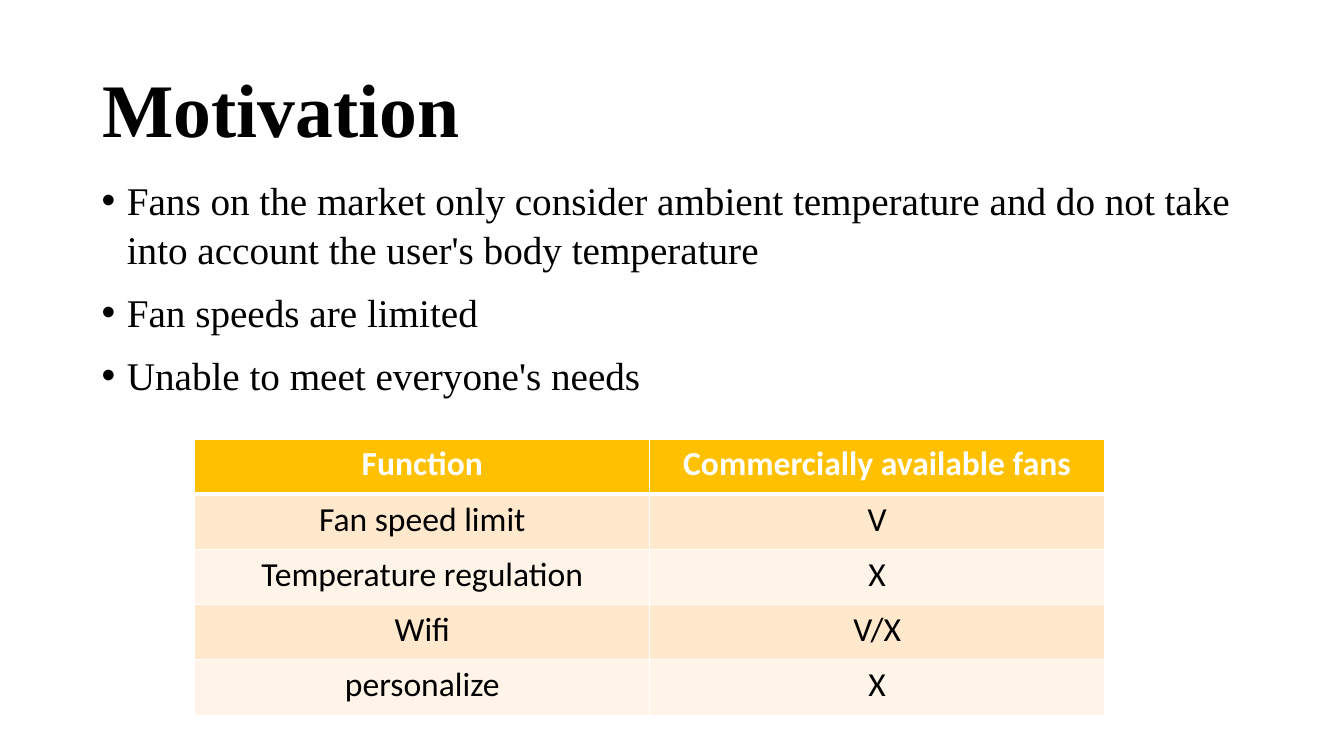
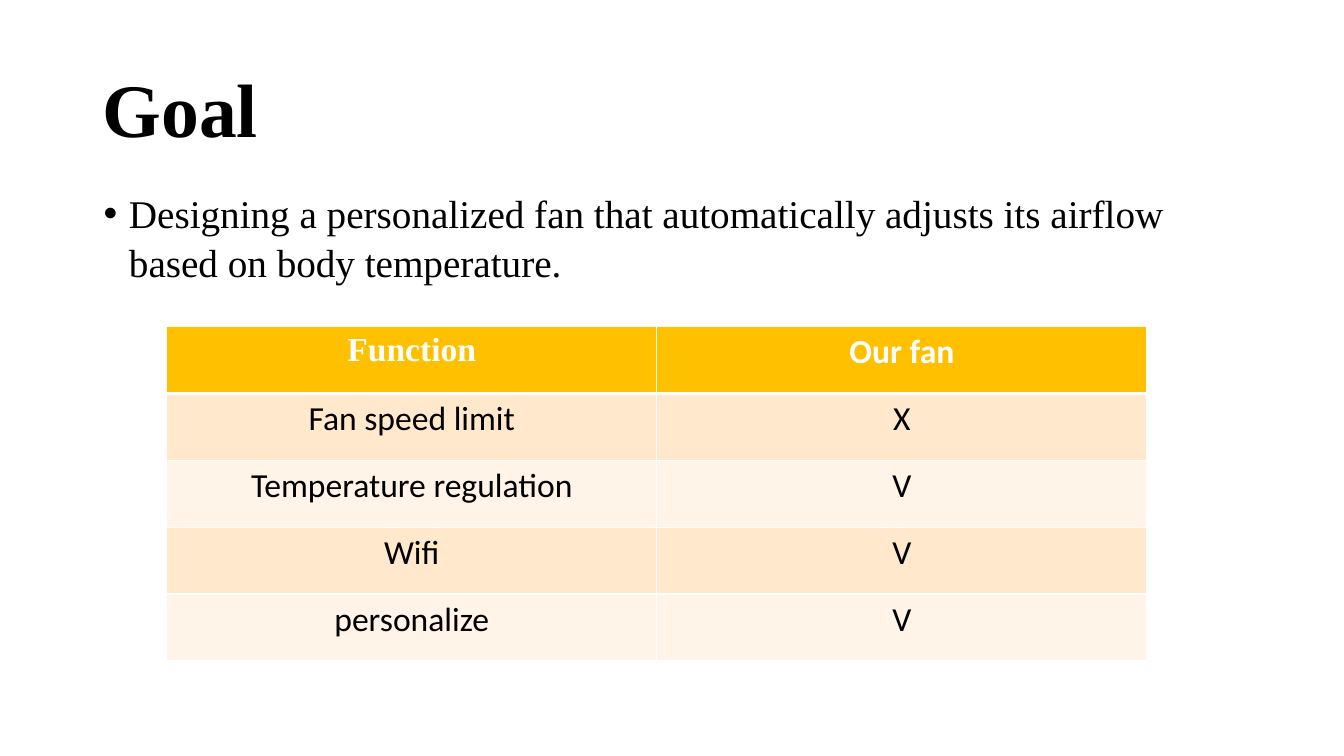
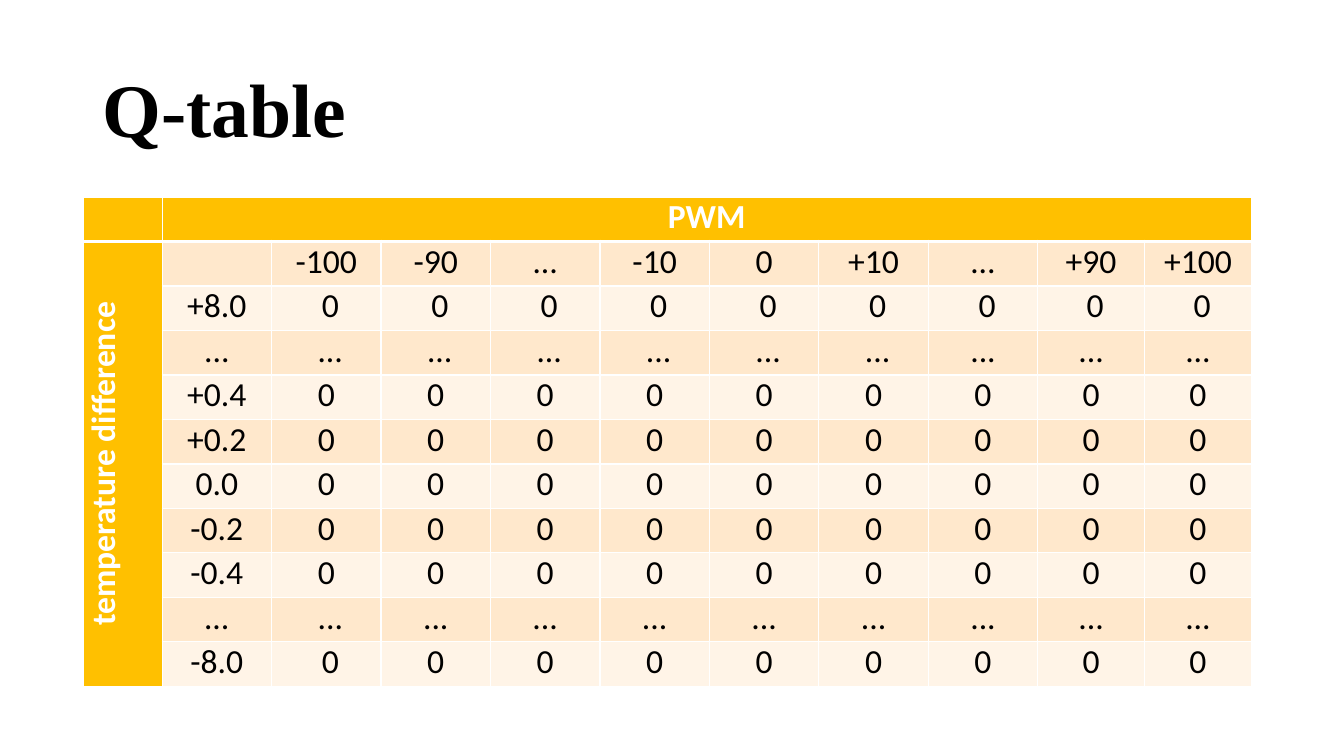
"""Build three slides on a personalized fan: motivation, goal and Q-table."""
from dataclasses import dataclass

from pptx import Presentation
from pptx import util as u
from pptx.dml.color import RGBColor
from pptx.enum import text as t
from pptx.oxml import parse_xml
from pptx.oxml.ns import nsdecls

GRID_COLUMNS, GRID_ROWS = 160, 90
UNIT = u.Inches(7.5) / GRID_ROWS
SERIF, SANS = "Times New Roman", "Calibri"
BLACK, WHITE, GOLD = "000000", "FFFFFF", "FFC000"
BANDS = ("FFE8CC", "FFF4E7")
TITLE_AND_BODY, TITLE_ONLY = 1, 5


@dataclass(frozen=True)
class Box:
    left: float
    top: float
    width: float
    height: float


@dataclass(frozen=True)
class Grid:
    left: float
    top: float
    widths: tuple[float, ...]
    row_height: float


@dataclass(frozen=True)
class Comparison:
    title: str
    body: Box
    bullets: tuple[str, ...]
    grid: Grid
    heading: str
    answers: tuple[str, ...]
    function_font: str


@dataclass(frozen=True)
class QRow:
    label: str
    values: tuple[str, ...]
    nudged: int = 0


TITLE_BOX = Box(11, 4.8, 138, 17.4)
FUNCTIONS = ("Fan speed limit", "Temperature regulation", "Wifi", "personalize")
COMPARISONS = (
    Comparison(
        "Motivation",
        Box(10.9, 20.2, 138, 57.1),
        (
            "Fans on the market only consider ambient temperature and do not take into account the user's body temperature",
            "Fan speeds are limited",
            "Unable to meet everyone's needs",
        ),
        Grid(23.2, 52.25, (54.15,) * 2, 6.58),
        "Commercially available fans",
        ("V", "X", "V/X", "X"),
        SANS,
    ),
    Comparison(
        "Goal",
        Box(11.15, 21.75, 138, 57.1),
        ("Designing a personalized fan that automatically adjusts its airflow based on body temperature.",),
        Grid(19.85, 38.9, (58.35,) * 2, 7.96),
        "Our fan",
        ("X", "V", "V", "V"),
        SERIF,
    ),
)
Q_GRID = Grid(9.9, 23.45, (9.4,) + (13.03,) * 8 + (12.72,) * 2, 5.3)
ZEROS = ("0",) * 9
Q_ROWS = (
    QRow("", ("-100", "-90", "…", "-10", "0", "+10", "…", "+90", "+100")),
    QRow("+8.0", ZEROS, nudged=9),
    QRow("...", ("…",) * 3 + ("...",) * 6, nudged=6),
    *(QRow(label, ZEROS) for label in ("+0.4", "+0.2", "0.0", "-0.2", "-0.4")),
    QRow("…", ("...",) * 9, nudged=1),
    QRow("-8.0", ZEROS, nudged=1),
)


def color(code: str) -> RGBColor:
    return RGBColor.from_string(code)


def length(units: float) -> u.Emu:
    return u.Emu(round(units * UNIT))


def place(shape, box: Box) -> None:
    shape.left, shape.top = length(box.left), length(box.top)
    shape.width, shape.height = length(box.width), length(box.height)


def write(para, words: str, *, size: float, font: str = SANS, ink: str = BLACK,
          bold: bool = False, align=t.PP_ALIGN.LEFT) -> None:
    para.alignment = align
    span = para.add_run()
    span.text = words
    span.font.size, span.font.name, span.font.bold = u.Pt(size), font, bold
    span.font.color.rgb = color(ink)


def add_page(deck, title: str, layout: int):
    page = deck.slides.add_slide(deck.slide_layouts[layout])
    place(page.shapes.title, TITLE_BOX)
    frame = page.shapes.title.text_frame
    frame.auto_size = t.MSO_AUTO_SIZE.NONE
    frame.vertical_anchor = t.MSO_ANCHOR.MIDDLE
    para = frame.paragraphs[0]
    para.line_spacing = 0.9
    write(para, title, size=54, font=SERIF, bold=True)
    return page


def fill_body(page, box: Box, bullets: tuple[str, ...]) -> None:
    body = page.placeholders[1]
    place(body, box)
    frame = body.text_frame
    frame.auto_size = t.MSO_AUTO_SIZE.NONE
    for index, words in enumerate(bullets):
        para = frame.add_paragraph() if index else frame.paragraphs[0]
        para.space_before, para.line_spacing = u.Pt(10), 1.04
        properties = para._p.get_or_add_pPr()
        properties.set("marL", str(u.Inches(0.25)))
        properties.set("indent", str(-u.Inches(0.25)))
        write(para, words, size=28, font=SERIF)


def draw_borders(cell, top: float, bottom: float) -> None:
    sides = {"L": 1, "R": 1, "T": top, "B": bottom}
    for index, (side, points) in enumerate(sides.items()):
        line = parse_xml(
            f'<a:ln{side} {nsdecls("a")} w="{u.Pt(points)}"><a:solidFill>'
            f'<a:srgbClr val="{WHITE}"/></a:solidFill></a:ln{side}>'
        )
        cell._tc.get_or_add_tcPr().insert(index, line)


def add_grid(page, grid: Grid, row_count: int, *, side_heading: bool = False):
    box = Box(grid.left, grid.top, sum(grid.widths), grid.row_height * row_count)
    table = page.shapes.add_table(
        row_count, len(grid.widths),
        *(length(value) for value in (box.left, box.top, box.width, box.height)),
    ).table
    for column, width in zip(table.columns, grid.widths):
        column.width = length(width)
    for r, row in enumerate(table.rows):
        row.height = length(grid.row_height)
        for c, cell in enumerate(row.cells):
            heading = r == 0 or (side_heading and c == 0)
            cell.fill.solid()
            cell.fill.fore_color.rgb = color(GOLD if heading else BANDS[(r - 1) % 2])
            draw_borders(cell, 3 if r == 1 else 1, 3 if r == 0 else 1)
    return table


def write_cell(cell, words: str, *, heading: bool = False, font: str = SANS) -> None:
    write(cell.text_frame.paragraphs[0], words, size=24, font=font, bold=heading,
          ink=WHITE if heading else BLACK, align=t.PP_ALIGN.CENTER)


def add_comparison(deck, item: Comparison) -> None:
    page = add_page(deck, item.title, TITLE_AND_BODY)
    fill_body(page, item.body, item.bullets)
    table = add_grid(page, item.grid, len(FUNCTIONS) + 1)
    write_cell(table.cell(0, 0), "Function", heading=True, font=item.function_font)
    write_cell(table.cell(0, 1), item.heading, heading=True)
    for r, pair in enumerate(zip(FUNCTIONS, item.answers), 1):
        for c, words in enumerate(pair):
            write_cell(table.cell(r, c), words)


def add_q_table(deck) -> None:
    page = add_page(deck, "Q-table", TITLE_ONLY)
    table = add_grid(page, Q_GRID, len(Q_ROWS) + 1, side_heading=True)
    for cell in table.iter_cells():
        cell.margin_left = cell.margin_right = u.Inches(0.07)
        cell.margin_top = cell.margin_bottom = 0
    across, down = table.cell(0, 1), table.cell(1, 0)
    across.merge(table.cell(0, len(Q_GRID.widths) - 1))
    down.merge(table.cell(len(Q_ROWS), 0))
    down._tc.get_or_add_tcPr().set("vert", "vert270")
    write_cell(across, "PWM", heading=True)
    write_cell(down, "temperature difference", heading=True)
    for r, row in enumerate(Q_ROWS, 1):
        for c, words in enumerate((row.label, *row.values), 1):
            cell = table.cell(r, c)
            if 2 <= c < 2 + row.nudged:
                cell.margin_left = u.Inches(0.15)
            if words:
                write_cell(cell, words)


def main() -> None:
    deck = Presentation()
    deck.slide_width, deck.slide_height = length(GRID_COLUMNS), length(GRID_ROWS)
    for item in COMPARISONS:
        add_comparison(deck, item)
    add_q_table(deck)
    deck.save("out.pptx")


if __name__ == "__main__":
    main()
